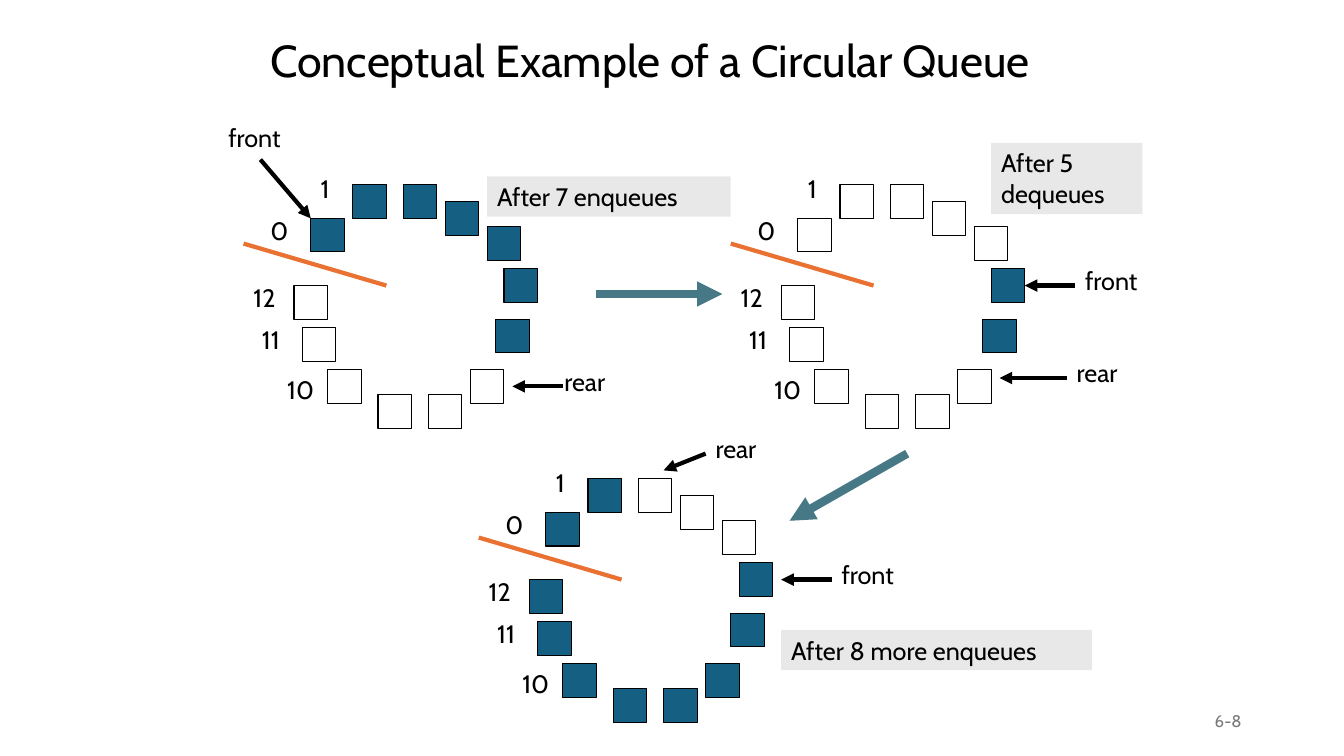
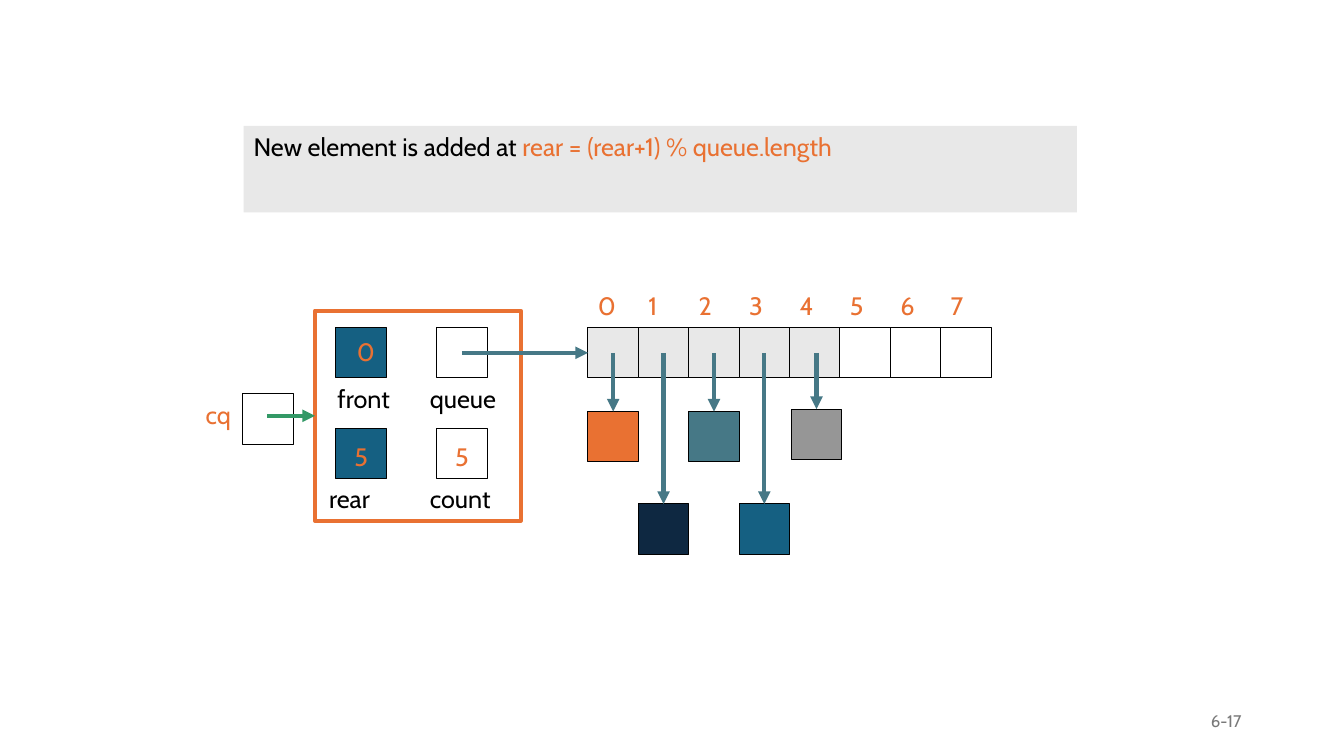
from pptx import Presentation
from pptx.dml.color import RGBColor
from pptx.enum.shapes import MSO_CONNECTOR, MSO_SHAPE
from pptx.enum.text import MSO_ANCHOR, PP_ALIGN
from pptx.oxml.ns import qn
from pptx.util import Emu, Pt
from lxml.etree import SubElement

COLUMNS, ROWS = 160, 90
GRID = 76200
FONT = "Cabin"
BLACK, BLUE, ORANGE = "000000", "156082", "E97132"
TEAL, NAVY, GREEN = "467886", "0E2841", "339966"
PALE, GRAY, MUTED = "E8E8E8", "969696", "797979"
TEXT_ROWS = 4.8
TOP, LEFT, RIGHT = 0, 1, 3

SLOT = 4
RING_SLOTS = [(8, 6), (13, 2), (19, 2), (24, 4), (29, 7), (31, 12), (30, 18),
              (27, 24), (22, 27), (16, 27), (10, 24), (7, 19), (6, 14)]
RING_LABELS = [("1", 8, 0, 5), ("0", 2, 5, 5), ("12", 0, 13, 7),
               ("11", 1, 18, 9), ("10", 4, 24, 9)]
CELL = 6


def grid(*counts):
    return [Emu(round(count * GRID)) for count in counts]


def color(code):
    return RGBColor.from_string(code)


def write(shape, runs, size=18, anchor=MSO_ANCHOR.TOP, align=PP_ALIGN.LEFT):
    frame = shape.text_frame
    frame.word_wrap = True
    frame.vertical_anchor = anchor
    para = frame.paragraphs[0]
    para.alignment = align
    for text, code in runs:
        span = para.add_run()
        span.text = text
        span.font.name = FONT
        span.font.size = Pt(size)
        span.font.color.rgb = color(code)


def add_label(page, text, left, top, width, code=BLACK):
    box = page.shapes.add_textbox(*grid(left, top, width, TEXT_ROWS))
    write(box, [(text, code)])


def add_rectangle(page, left, top, width, height, fill=None, line=BLACK, weight=0.75):
    box = page.shapes.add_shape(MSO_SHAPE.RECTANGLE, *grid(left, top, width, height))
    box.shadow.inherit = False
    if fill:
        box.fill.solid()
        box.fill.fore_color.rgb = color(fill)
    else:
        box.fill.background()
    if line:
        box.line.color.rgb = color(line)
        box.line.width = Pt(weight)
    else:
        box.line.fill.background()
    return box


def add_callout(page, runs, left, top, width, height=TEXT_ROWS):
    write(add_rectangle(page, left, top, width, height, PALE, None), runs)


def add_line(page, start, end, code=BLACK, weight=3, arrow=True, target=None, side=TOP):
    connector = page.shapes.add_connector(MSO_CONNECTOR.STRAIGHT, *grid(*start, *end))
    connector.line.color.rgb = color(code)
    connector.line.width = Pt(weight)
    if arrow:
        SubElement(connector.line._get_or_add_ln(), qn("a:tailEnd"), type="triangle")
    SubElement(connector._element.spPr, qn("a:effectLst"))
    if target is not None:
        connector.end_connect(target, side)


def add_page(deck, number):
    page = deck.slides.add_slide(deck.slide_layouts[6])
    footer = page.shapes.add_textbox(*grid(113, 83.4, 36, TEXT_ROWS))
    write(footer, [(number, MUTED)], 12, MSO_ANCHOR.MIDDLE, PP_ALIGN.RIGHT)
    return page


def add_title(page, text):
    box = page.shapes.add_textbox(*grid(31, 2, 109, 11))
    write(box, [(text, BLACK)], 32, MSO_ANCHOR.MIDDLE)
    box.text_frame.paragraphs[0].line_spacing = 0.9


def add_ring(page, left, top, filled):
    slots = [
        add_rectangle(page, left + x, top + y, SLOT, SLOT, BLUE if index in filled else None)
        for index, (x, y) in enumerate(RING_SLOTS)
    ]
    for text, x, y, width in RING_LABELS:
        add_label(page, text, left + x, top + y, width)
    add_line(page, (left, top + 9), (left + 17, top + 14), ORANGE, arrow=False)
    return slots


def add_pointer(page, text, label, width, start, end, target=None):
    add_label(page, text, *label, width)
    add_line(page, start, end, target=target, side=RIGHT)


def add_enqueue_stage(page, left, top):
    add_ring(page, left, top, range(7))
    add_callout(page, [("After 7 enqueues", BLACK)], left + 29, top + 1, 29)
    add_pointer(page, "front", (left - 3, top - 6), 19, (left + 2, top - 1), (left + 8, top + 6))
    add_pointer(page, "rear", (left + 37, top + 23), 19,
                (left + 38, top + 26), (left + 32, top + 26))


def add_dequeue_stage(page, left, top):
    slots = add_ring(page, left, top, range(5, 7))
    add_callout(page, [("After 5 dequeues", BLACK)], left + 31, top - 3, 18, 8.5)
    add_pointer(page, "front", (left + 41, top + 11), 10,
                (left + 41, top + 14), (left + 35, top + 14), slots[5])
    add_pointer(page, "rear", (left + 40, top + 22), 9,
                (left + 40, top + 25), (left + 32, top + 25))


def add_wrapped_stage(page, left, top):
    add_ring(page, left, top, {0, 1, *range(5, 13)})
    add_callout(page, [("After 8 more enqueues", BLACK)], left + 36, top + 20, 37)
    add_pointer(page, "front", (left + 42, top + 11), 10,
                (left + 42, top + 14), (left + 36, top + 14))
    add_pointer(page, "rear", (left + 27, top - 4), 9, (left + 27, top - 1), (left + 22, top + 1))


def add_queue_record(page, left, top):
    frame = add_rectangle(page, left, top, 24.5, 25, line=ORANGE, weight=3)
    fields = [
        ("front", 2.5, 2, BLUE, 1.5, "0", 1.3, 0.4),
        ("queue", 14.5, 2, None, 12.5, "", 0, 0),
        ("rear", 2.5, 14, BLUE, 0.5, "5", 1, 1),
        ("count", 14.5, 14, None, 12.5, "5", 1, 1),
    ]
    for name, x, y, fill, name_x, value, value_x, value_y in fields:
        add_rectangle(page, left + x, top + y, CELL, CELL, fill)
        add_label(page, name, left + name_x, top + y + CELL, 12)
        if value:
            add_label(page, value, left + x + value_x, top + y + value_y, 7, ORANGE)
    return frame


def add_reference(page, left, top, frame):
    add_label(page, "cq", left - 5.6, top, 11.3, ORANGE)
    add_rectangle(page, left, top, CELL, CELL)
    add_line(page, (left + 2.9, top + 2.6), (left + 8.6, top + 2.6), GREEN,
             target=frame, side=LEFT)


def add_array(page, left, top, length=8):
    elements = [(ORANGE, 10, 0), (NAVY, 21, 0), (TEAL, 10, 0), (BLUE, 21, 0), (GRAY, 9.7, 0.2)]
    cells = []
    for index in range(length):
        x = left + index * CELL
        add_label(page, str(index), x, top - 5, 4.7, ORANGE)
        fill = PALE if index < len(elements) else None
        cells.append(add_rectangle(page, x, top, CELL, CELL, fill))
    for index, (fill, drop, shift) in enumerate(elements):
        x = left + index * CELL + shift
        element = add_rectangle(page, x, top + drop, CELL, CELL, fill)
        middle = x + CELL / 2
        add_line(page, (middle, top + CELL / 2), (middle, top + drop), TEAL, target=element)
    return cells


def build_concept_page(deck):
    page = add_page(deck, "6-8")
    add_title(page, "Conceptual Example of a Circular Queue")
    add_enqueue_stage(page, 29, 20)
    add_dequeue_stage(page, 87, 20)
    add_wrapped_stage(page, 57, 55)
    add_line(page, (71, 35), (86, 35), TEAL, 6)
    add_line(page, (108, 54), (94, 62), TEAL, 6)


def build_array_page(deck):
    page = add_page(deck, "6-17")
    add_callout(page, [("New element is added at ", BLACK),
                       ("rear = (rear+1) % queue.length", ORANGE)], 29, 15, 99.2, 10.3)
    frame = add_queue_record(page, 37.5, 37)
    add_reference(page, 28.9, 46.9, frame)
    cells = add_array(page, 70, 39)
    add_line(page, (55, 42), (70, 42), TEAL, target=cells[0], side=LEFT)


def main():
    deck = Presentation()
    deck.slide_width, deck.slide_height = grid(COLUMNS, ROWS)
    build_concept_page(deck)
    build_array_page(deck)
    deck.save("out.pptx")


if __name__ == "__main__":
    main()
